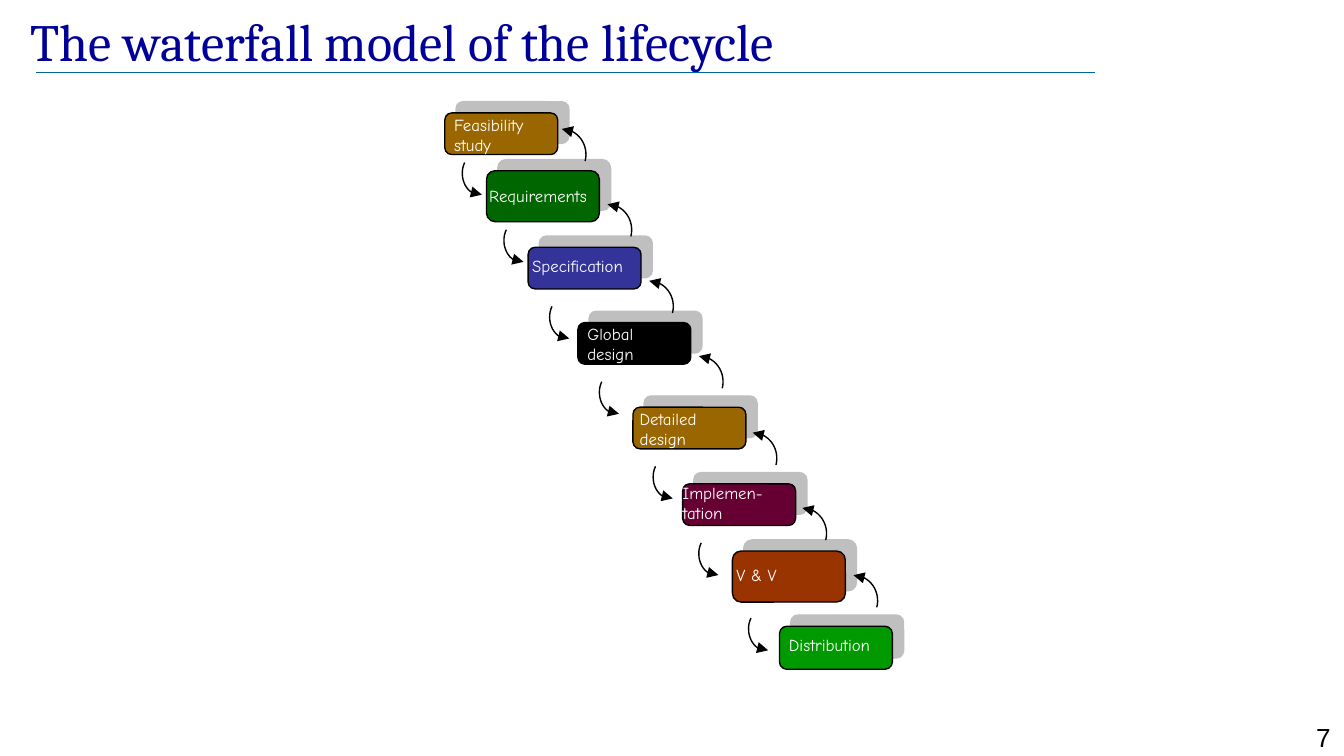
"""Build a slide that shows the waterfall model as a staircase of linked phases."""
import math
from copy import deepcopy
from typing import NamedTuple

from lxml import etree
from pptx import Presentation
from pptx import util as u
from pptx.dml.color import RGBColor
from pptx.enum import shapes, text
from pptx.oxml import ns

NAVY = RGBColor(0x00, 0x00, 0x99)
TEAL = RGBColor(0x00, 0x66, 0x99)
BLACK = RGBColor(0x00, 0x00, 0x00)
WHITE = RGBColor(0xFF, 0xFF, 0xFF)
BROWN = RGBColor(0x99, 0x66, 0x00)
DARK_GREEN = RGBColor(0x00, 0x66, 0x00)
INDIGO = RGBColor(0x33, 0x33, 0x99)
PLUM = RGBColor(0x66, 0x00, 0x33)
RUST = RGBColor(0x99, 0x33, 0x00)
GREEN = RGBColor(0x00, 0x99, 0x00)
SHADOW = RGBColor(0x80, 0x80, 0x80)
PAGE_WIDTH = u.Inches(10)
PAGE_HEIGHT = PAGE_WIDTH * 9 // 16
PHASE_WIDTH = 0.84


class Phase(NamedTuple):
    label: str
    fill: RGBColor
    left: float
    top: float
    height: float
    label_left: float
    label_top: float
    label_width: float


class Arc(NamedTuple):
    radius_x: float
    radius_y: float
    start: float
    end: float
    arrow_end: str


FORWARD = Arc(0.13, 0.16, 210, 83, "tailEnd")
BACK = Arc(0.18, 0.19, -90, 15, "headEnd")

PHASES = [
    Phase("Feasibility\nstudy", BROWN, 3.31, 0.84, 0.31, 3.38, 0.85, 0.74),
    Phase("Requirements", DARK_GREEN, 3.62, 1.27, 0.38, 3.64, 1.38, 0.81),
    Phase("Specification", INDIGO, 3.93, 1.84, 0.31, 3.96, 1.9, 0.78),
    Phase("Global\ndesign", BLACK, 4.3, 2.4, 0.31, 4.37, 2.41, 0.74),
    Phase("Detailed\ndesign", BROWN, 4.71, 3.03, 0.31, 4.76, 3.04, 0.74),
    Phase("Implemen-\ntation", PLUM, 5.08, 3.6, 0.31, 5.08, 3.59, 0.92),
    Phase("V & V", RUST, 5.45, 4.1, 0.38, 5.48, 4.2, 0.74),
    Phase("Distribution", GREEN, 5.8, 4.66, 0.32, 5.87, 4.72, 0.98),
]
FORWARD_CENTERS = [(3.57, 1.29), (3.88, 1.79), (4.22, 2.36), (4.59, 2.92),
                   (4.99, 3.55), (5.33, 4.12), (5.7, 4.68)]
BACK_CENTERS = [(4.18, 1.15), (4.52, 1.71), (4.83, 2.28), (5.2, 2.84),
                (5.6, 3.41), (5.97, 3.97), (6.35, 4.47)]


def write_text(frame, content: str, *, font: str, size: float, color: RGBColor,
               align=text.PP_ALIGN.LEFT, anchor=text.MSO_ANCHOR.TOP,
               margin: float | None = None, grow: bool = False) -> None:
    """Put one formatted paragraph in a text frame."""
    frame.word_wrap = True
    frame.vertical_anchor = anchor
    frame.auto_size = (text.MSO_AUTO_SIZE.SHAPE_TO_FIT_TEXT if grow
                       else text.MSO_AUTO_SIZE.NONE)
    if margin is not None:
        frame.margin_left = frame.margin_right = u.Inches(margin)
        frame.margin_top = frame.margin_bottom = u.Inches(margin)
    para = frame.paragraphs[0]
    para.text = content
    para.alignment = align
    for span in para.runs:
        span.font.name = font
        span.font.size = u.Pt(size)
        span.font.color.rgb = color
    for line_break in para._p.findall(ns.qn("a:br")):
        line_break.append(deepcopy(para.runs[0]._r.rPr))


def add_text_box(page, left: float, top: float, width: float, height: float,
                 content: str, **formatting) -> None:
    """Add a text box at a place given in inches."""
    box = page.shapes.add_textbox(*map(u.Inches, (left, top, width, height)))
    write_text(box.text_frame, content, **formatting)


def add_offset_shadow(box) -> None:
    """Give a shape a hard half-transparent shadow to its upper right."""
    effects = etree.SubElement(box._element.spPr, ns.qn("a:effectLst"))
    shadow = etree.SubElement(effects, ns.qn("a:outerShdw"), blurRad="0",
                              dist=str(u.Pt(8.5)), dir=str(315 * 60000),
                              algn="ctr", rotWithShape="0")
    color = etree.SubElement(shadow, ns.qn("a:srgbClr"), val=str(SHADOW))
    etree.SubElement(color, ns.qn("a:alpha"), val="50000")


def add_phase(page, phase: Phase) -> None:
    """Add the rounded box of a phase."""
    box = page.shapes.add_shape(
        shapes.MSO_SHAPE.ROUNDED_RECTANGLE,
        *map(u.Inches, (phase.left, phase.top, PHASE_WIDTH, phase.height)))
    box.adjustments[0] = 0.17
    box.fill.solid()
    box.fill.fore_color.rgb = phase.fill
    box.line.color.rgb = BLACK
    box.line.width = u.Pt(0.75)
    add_offset_shadow(box)


def add_label(page, phase: Phase) -> None:
    """Add the label of a phase."""
    height = 0.15 * (phase.label.count("\n") + 1)
    add_text_box(page, phase.label_left, phase.label_top, phase.label_width,
                 height, phase.label, font="Comic Neue", size=9, color=WHITE,
                 margin=0, grow=True)


def add_arc(page, center: tuple[float, float], arc: Arc, steps: int = 16) -> None:
    """Add a curved arrow around a centre."""
    points = []
    for step in range(steps + 1):
        angle = math.radians(arc.start + (arc.end - arc.start) * step / steps)
        points.append((u.Inches(center[0] + arc.radius_x * math.cos(angle)),
                       u.Inches(center[1] + arc.radius_y * math.sin(angle))))
    builder = page.shapes.build_freeform(*points[0])
    builder.add_line_segments(points[1:], close=False)
    curve = builder.convert_to_shape()
    curve.shadow.inherit = False
    curve.fill.background()
    curve.line.color.rgb = BLACK
    curve.line.width = u.Pt(0.75)
    etree.SubElement(curve.line._get_or_add_ln(), ns.qn(f"a:{arc.arrow_end}"),
                     type="triangle")


def add_title_rule(page) -> None:
    """Add the thin line under the title."""
    rule = page.shapes.add_connector(
        shapes.MSO_CONNECTOR.STRAIGHT, *map(u.Inches, (0.27, 0.54, 8.15, 0.54)))
    rule.line.color.rgb = TEAL
    rule.line.width = u.Pt(0.25)
    etree.SubElement(rule._element.spPr, ns.qn("a:effectLst"))


def main() -> None:
    """Build and save the deck."""
    deck = Presentation()
    deck.slide_width, deck.slide_height = PAGE_WIDTH, PAGE_HEIGHT
    page = deck.slides.add_slide(deck.slide_layouts[5])
    add_title_rule(page)
    add_text_box(page, 9.45, 5.32, 0.55, 0.18, "7", font="Arial", size=14,
                 color=BLACK, align=text.PP_ALIGN.RIGHT)

    title = page.shapes.title
    title.left, title.top = u.Inches(0.23), u.Inches(0.01)
    title.width, title.height = u.Inches(6.06), u.Inches(0.59)
    write_text(title.text_frame, "The waterfall model of the lifecycle",
               font="Cambria", size=28, color=NAVY, margin=0,
               anchor=text.MSO_ANCHOR.MIDDLE)

    for phase in PHASES:
        add_phase(page, phase)
    for phase in PHASES:
        add_label(page, phase)
    for center in FORWARD_CENTERS:
        add_arc(page, center, FORWARD)
    for center in BACK_CENTERS:
        add_arc(page, center, BACK)
    deck.save("out.pptx")


if __name__ == "__main__":
    main()
